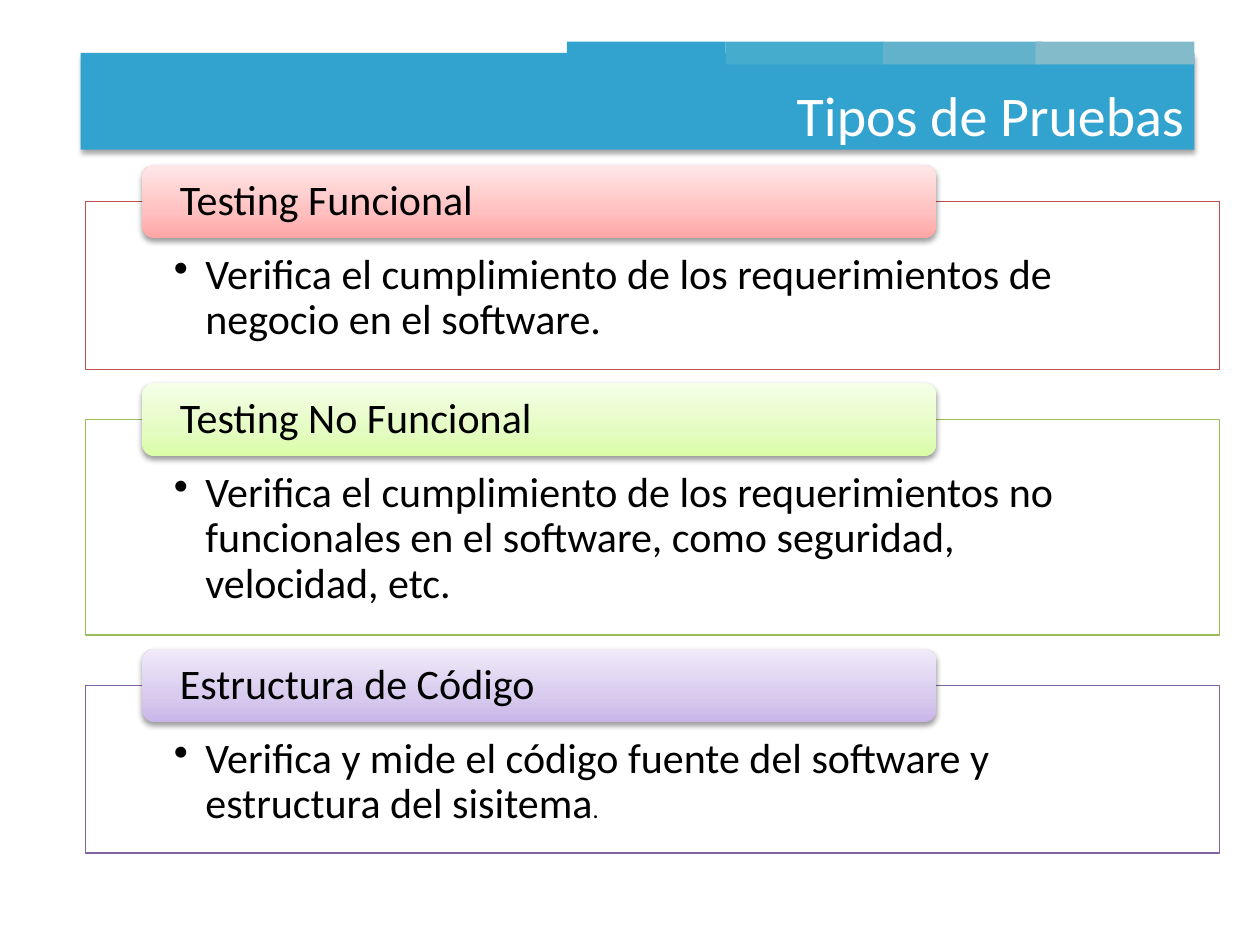
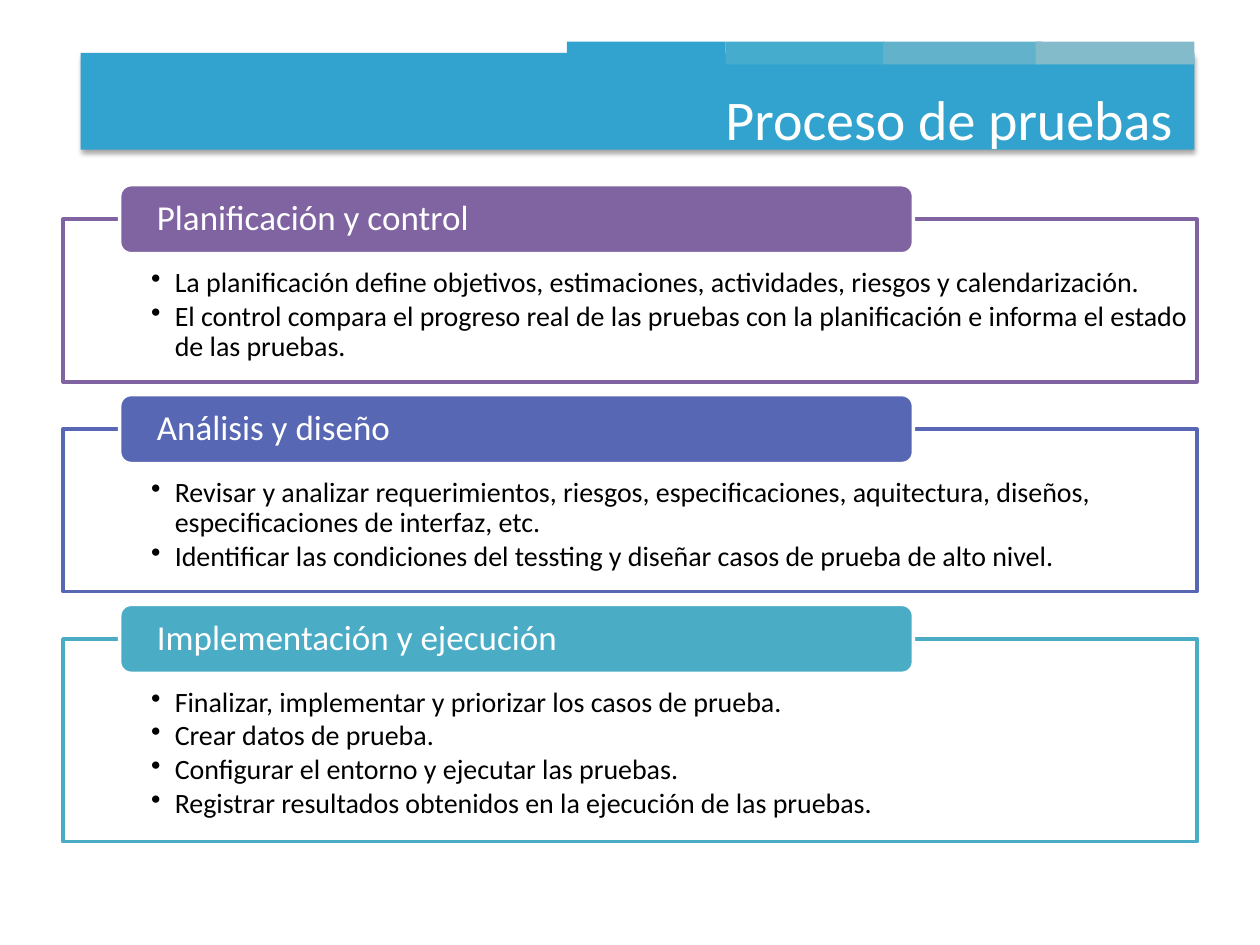
from copy import deepcopy

from lxml import etree
from pptx import Presentation
from pptx.dml.color import RGBColor
from pptx.enum.shapes import MSO_SHAPE
from pptx.enum.text import MSO_ANCHOR, PP_ALIGN
from pptx.oxml.ns import qn
from pptx.util import Pt

RECT, ROUNDED = MSO_SHAPE.RECTANGLE, MSO_SHAPE.ROUNDED_RECTANGLE
TOP, MIDDLE = MSO_ANCHOR.TOP, MSO_ANCHOR.MIDDLE
LEFT, RIGHT = PP_ALIGN.LEFT, PP_ALIGN.RIGHT
FONT, BLACK, WHITE = "Calibri", "000000", "FFFFFF"
SIDE_INSET = 50.4
TAIL_SIZE = 14

# Header shared by both slides: band, then accents as (left, colour)
BAND = (46.1, 30.2, 636.5, 55.4)
BAND_COLOR = "32A3CE"
ACCENTS = [(324, BAND_COLOR), (414.7, "45ACCD"), (504.7, "62B2CB"), (591.8, "83BBCA")]
ACCENT_TOP, ACCENT_WIDTH, ACCENT_HEIGHT = 23.8, 90.7, 13

# A bullet given as a tuple ends in a smaller tail.
SLIDES = [
    {
        "title": "Tipos de Pruebas",
        "title_box": (159.8, 42.5, 524.2, 46), "title_align": RIGHT,
        "left": 49, "top": 115.2, "gap": 28.8, "tab_height": 41.8,
        "frame_line": 0.75, "tab_size": 24, "tab_color": BLACK,
        "size": 24, "indent": 18, "insets": (29.5, 13.7),
        "sections": [
            {"heading": "Testing Funcional", "color": "C0504D", "height": 95.8,
             "gradient": ("FFA6A5", "FFC0BF", "FFE7E7"),
             "bullets": ["Verifica el cumplimiento de los requerimientos de negocio "
                         "en el software."]},
            {"heading": "Testing No Funcional", "color": "9BBB59", "height": 123.1,
             "gradient": ("DAFDA7", "E4FCC2", "F5FFE7"),
             "bullets": ["Verifica el cumplimiento de los requerimientos no funcionales "
                         "en el software, como seguridad, velocidad, etc."]},
            {"heading": "Estructura de Código", "color": "8064A2", "height": 95.8,
             "gradient": ("C9B5E8", "D8CBEE", "F0EAF9"),
             "bullets": [("Verifica y mide el código fuente del software y "
                          "estructura del sisitema", ".")]},
        ],
    },
    {
        "title": "Proceso de pruebas",
        "title_box": (407.5, 44.6, 276.5, 46), "title_align": LEFT,
        "left": 36, "top": 125.3, "gap": 27, "tab_height": 39.4,
        "frame_line": 2, "tab_size": 20, "tab_color": WHITE,
        "size": 16, "indent": 13.5, "insets": (28.1, 8.6),
        "sections": [
            {"heading": "Planificación y control", "color": "8064A2", "height": 92.9,
             "right_inset": 0,
             "bullets": ["La planificación define objetivos, estimaciones, actividades, "
                         "riesgos y calendarización.",
                         "El control compara el progreso real de las pruebas con la "
                         "planificación e informa el estado de las pruebas."]},
            {"heading": "Análisis y diseño", "color": "5767B4", "height": 92.9,
             "bullets": ["Revisar y analizar requerimientos, riesgos, especificaciones, "
                         "aquitectura, diseños, especificaciones de interfaz, etc.",
                         "Identificar las condiciones del tessting y diseñar casos de "
                         "prueba de alto nivel."]},
            {"heading": "Implementación y ejecución", "color": "4BACC6", "height": 115.9,
             "bullets": ["Finalizar, implementar y priorizar los casos de prueba.",
                         "Crear datos de prueba.",
                         "Configurar el entorno y ejecutar las pruebas.",
                         "Registrar resultados obtenidos en la ejecución de las pruebas."]},
        ],
    },
]
FRAME_WIDTH, TAB_OFFSET, TAB_WIDTH = 648, 32.4, 453.6
TAB_INSET = 19.4


def rgb(color):
    return RGBColor.from_string(color)


def add_block(slide, kind, box, fill, line=None, line_width=0):
    block = slide.shapes.add_shape(kind, *map(Pt, box))
    block.shadow.inherit = False
    block.fill.solid()
    block.fill.fore_color.rgb = rgb(fill)
    if line:
        block.line.color.rgb = rgb(line)
        block.line.width = Pt(line_width)
    else:
        block.line.fill.background()
    return block


def add_shadow(block, distance, opacity):
    effects = block.element.spPr.find(qn("a:effectLst"))
    shadow = etree.SubElement(effects, qn("a:outerShdw"), blurRad=str(Pt(3.1)),
                              dist=str(Pt(distance)), dir="5400000", rotWithShape="0")
    color = etree.SubElement(shadow, qn("a:srgbClr"), val=BLACK)
    etree.SubElement(color, qn("a:alpha"), val=str(opacity * 1000))


def set_gradient(block, colors):
    block.fill.gradient()
    block.fill.gradient_angle = 90
    stop_list = block.element.spPr.find(".//" + qn("a:gsLst"))
    stop_list.append(deepcopy(stop_list[-1]))
    for stop, position, color in zip(block.fill.gradient_stops, (0, 0.35, 1), colors):
        stop.position = position
        stop.color.rgb = rgb(color)


def set_frame(block, insets, anchor):
    frame = block.text_frame
    frame.word_wrap = True
    frame.vertical_anchor = anchor
    (frame.margin_left, frame.margin_top,
     frame.margin_right, frame.margin_bottom) = map(Pt, insets)
    return frame


def style(paragraph, size, color, align=LEFT, line_spacing=None):
    paragraph.alignment = align
    paragraph.line_spacing = line_spacing
    paragraph.font.name = FONT
    paragraph.font.size = Pt(size)
    paragraph.font.color.rgb = rgb(color)


def add_bullets(frame, bullets, size, indent):
    for index, bullet in enumerate(bullets):
        paragraph = frame.paragraphs[0] if index == 0 else frame.add_paragraph()
        text, *tail = [bullet] if isinstance(bullet, str) else bullet
        properties = paragraph._p.get_or_add_pPr()
        properties.set("marL", str(Pt(indent)))
        properties.set("indent", str(-Pt(indent)))
        etree.SubElement(properties, qn("a:buChar"), char="•")
        style(paragraph, size, BLACK, line_spacing=0.9)
        if index:
            paragraph.space_before = Pt(2)
        paragraph.add_run().text = text
        for ending in tail:
            run = paragraph.add_run()
            run.text = ending
            run.font.size = Pt(TAIL_SIZE)


def add_header(slide):
    add_shadow(add_block(slide, RECT, BAND, BAND_COLOR), 1.8, 35)
    for left, color in ACCENTS:
        add_block(slide, RECT, (left, ACCENT_TOP, ACCENT_WIDTH, ACCENT_HEIGHT), color)


def add_title(slide, page):
    title = slide.shapes.add_textbox(*map(Pt, page["title_box"]))
    frame = set_frame(title, (7.2, 3.6, 7.2, 3.6), TOP)
    frame.text = page["title"]
    style(frame.paragraphs[0], 32, WHITE, page["title_align"])


def add_section(slide, page, section, top):
    # Outlined frame with its bullets
    outline = add_block(slide, RECT, (page["left"], top, FRAME_WIDTH, section["height"]),
                        WHITE, section["color"], page["frame_line"])
    inset_top, inset_bottom = page["insets"]
    insets = (SIDE_INSET, inset_top, section.get("right_inset", SIDE_INSET), inset_bottom)
    add_bullets(set_frame(outline, insets, TOP), section["bullets"],
                page["size"], page["indent"])

    # Heading tab centred on the frame's upper edge
    tab_box = (page["left"] + TAB_OFFSET, top - page["tab_height"] / 2,
               TAB_WIDTH, page["tab_height"])
    if "gradient" in section:
        tab = add_block(slide, ROUNDED, tab_box, WHITE)
        set_gradient(tab, section["gradient"])
        add_shadow(tab, 1.6, 38)
    else:
        tab = add_block(slide, ROUNDED, tab_box, section["color"], WHITE, 2)
    frame = set_frame(tab, (TAB_INSET, 0, TAB_INSET, 0), MIDDLE)
    frame.text = section["heading"]
    style(frame.paragraphs[0], page["tab_size"], page["tab_color"], line_spacing=0.9)


def main():
    deck = Presentation()
    deck.slide_width, deck.slide_height = Pt(720), Pt(540)
    for page in SLIDES:
        slide = deck.slides.add_slide(deck.slide_layouts[6])
        add_header(slide)
        top = page["top"]
        for section in page["sections"]:
            add_section(slide, page, section, top)
            top += section["height"] + page["gap"]
        add_title(slide, page)
    deck.save("out.pptx")


if __name__ == "__main__":
    main()
